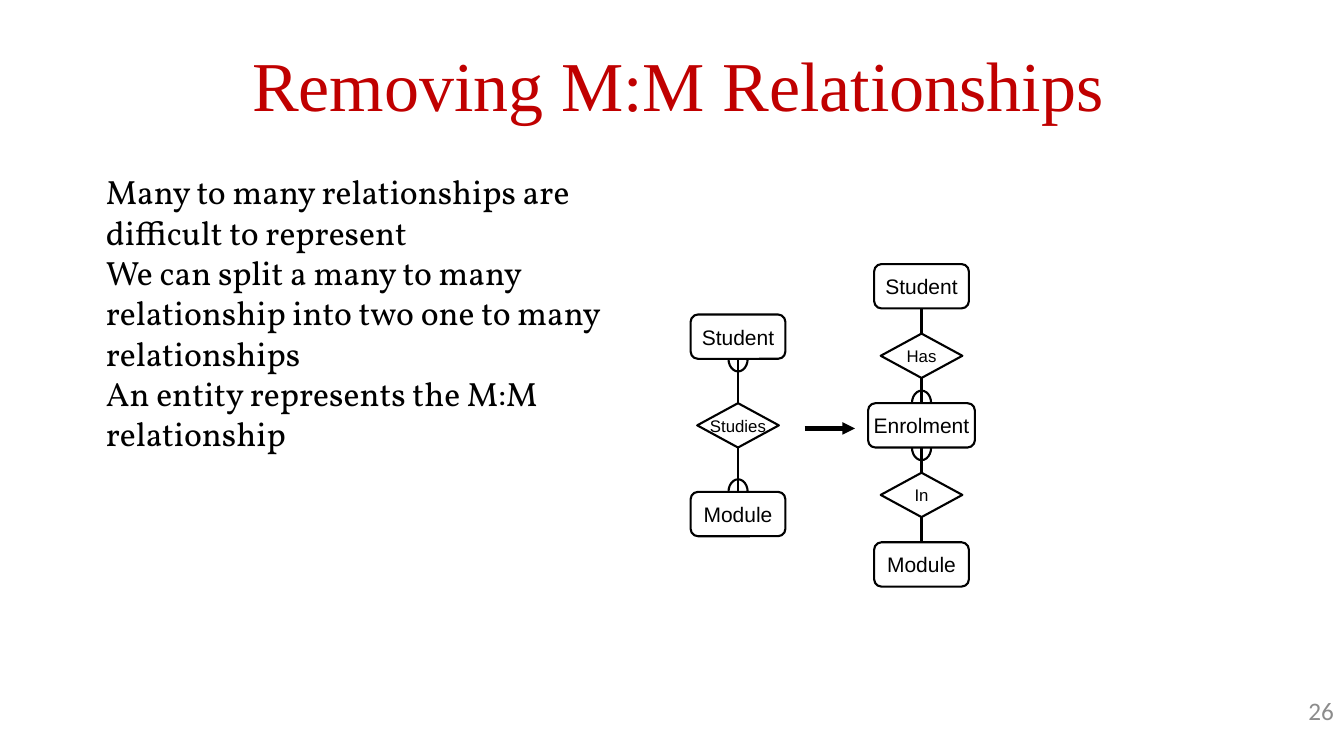
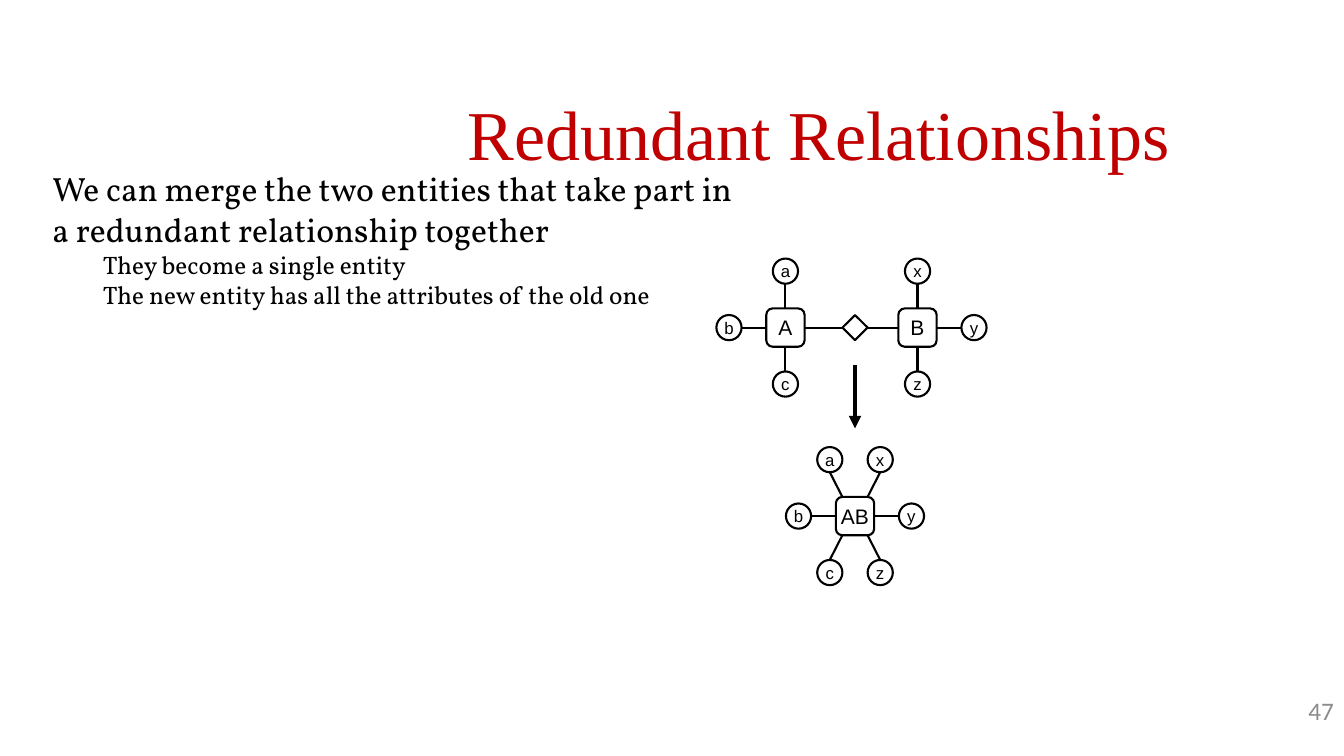
from lxml.etree import SubElement
from pptx import Presentation
from pptx.dml.color import RGBColor
from pptx.enum.shapes import MSO_CONNECTOR, MSO_SHAPE
from pptx.enum.text import MSO_ANCHOR, MSO_AUTO_SIZE, PP_ALIGN
from pptx.oxml.ns import qn
from pptx.util import Inches, Pt

COLORS = {"title": "C00000", "text": "000000", "line": "000000", "number": "8C8C8C"}
FONTS = {"title": "Times New Roman", "body": "Vollkorn", "diagram": "Arial", "number": "Calibri"}
BODY_SIZES = (24, 18)
TOP, LEFT, BOTTOM, RIGHT = range(4)
NODE_H = 0.44
HUB = 0.38
DOT = 0.25


def color(name):
    return RGBColor.from_string(COLORS[name])


def place(sp, left, top, width, height):
    sp.left, sp.top = Inches(left), Inches(top)
    sp.width, sp.height = Inches(width), Inches(height)


def prepare_frame(tf, anchor=MSO_ANCHOR.TOP, wrap=True):
    tf.margin_left = tf.margin_right = tf.margin_top = tf.margin_bottom = 0
    tf.vertical_anchor = anchor
    tf.word_wrap = wrap
    tf.auto_size = MSO_AUTO_SIZE.NONE


def style_paragraph(p, font, size, color_name, align=PP_ALIGN.LEFT):
    p.alignment = align
    p.line_spacing = 1.0
    p.space_before = p.space_after = Pt(0)
    for r in p.runs:
        r.font.name = FONTS[font]
        r.font.size = Pt(size)
        r.font.color.rgb = color(color_name)


def add_title(s, box, text):
    sp = s.shapes.title
    place(sp, *box)
    tf = sp.text_frame
    prepare_frame(tf)
    tf.margin_top = Inches(0.1)
    tf.text = text
    style_paragraph(tf.paragraphs[0], "title", 50, "title")


def add_body(s, box, items):
    sp = s.placeholders[1]
    place(sp, *box)
    tf = sp.text_frame
    prepare_frame(tf)
    tf.text = "\n".join(text for text, level in items)
    for p, (text, level) in zip(tf.paragraphs, items):
        p.level = level
        style_paragraph(p, "body", BODY_SIZES[level], "text")
        pPr = p._p.get_or_add_pPr()
        pPr.set("marL", str(Inches(0.5 * level)))
        pPr.set("indent", "0")
        SubElement(pPr, qn("a:buNone"))


def add_number(s, number):
    sp = s.shapes.add_textbox(Inches(12.56), Inches(6.9), Inches(0.67), Inches(0.52))
    tf = sp.text_frame
    prepare_frame(tf)
    tf.text = str(number)
    style_paragraph(tf.paragraphs[0], "number", 18, "number", PP_ALIGN.RIGHT)


def add_content_slide(prs, title, title_box, items, body_box, number):
    s = prs.slides.add_slide(prs.slide_layouts[1])
    add_title(s, title_box, title)
    add_body(s, body_box, items)
    add_number(s, number)
    return s


def add_outline(s, kind, cx, cy, width, height):
    sp = s.shapes.add_shape(kind, Inches(cx - width / 2), Inches(cy - height / 2),
                            Inches(width), Inches(height))
    sp.shadow.inherit = False
    sp.fill.background()
    sp.line.color.rgb = color("line")
    sp.line.width = Pt(1.5)
    return sp


def add_node(s, kind, cx, cy, width, height, text="", size=15):
    sp = add_outline(s, kind, cx, cy, width, height)
    if text:
        tf = sp.text_frame
        prepare_frame(tf, MSO_ANCHOR.MIDDLE, False)
        tf.text = text
        style_paragraph(tf.paragraphs[0], "diagram", size, "text", PP_ALIGN.CENTER)
    return sp


def add_line(s, start, end, width=1.5, arrow=False):
    line = s.shapes.add_connector(MSO_CONNECTOR.STRAIGHT,
                                  *(Inches(v) for v in (*start, *end)))
    line.line.color.rgb = color("line")
    line.line.width = Pt(width)
    if arrow:
        SubElement(line.line._get_or_add_ln(), qn("a:tailEnd"), type="triangle")
    SubElement(line._element.spPr, qn("a:effectLst"))
    return line


def join(s, first, first_side, second, second_side):
    line = add_line(s, (0, 0), (0, 0))
    line.begin_connect(first, first_side)
    line.end_connect(second, second_side)


def add_many_mark(s, cx, edge, side):
    arc = add_outline(s, MSO_SHAPE.ARC, cx, edge, 0.19, 0.25)
    start, end = (0, 108) if side == BOTTOM else (108, 0)
    arc.adjustments[0] = start
    arc.adjustments[1] = end


def add_er_chain(s, cx, top, gap, nodes):
    previous = None
    for i, (text, width, many_sides) in enumerate(nodes):
        cy = top + NODE_H / 2 + i * (NODE_H + gap)
        kind, size = (MSO_SHAPE.DIAMOND, 12) if i % 2 else (MSO_SHAPE.ROUNDED_RECTANGLE, 15)
        node = add_node(s, kind, cx, cy, width, NODE_H, text, size)
        if previous is not None:
            join(s, previous, BOTTOM, node, TOP)
        for side in many_sides:
            add_many_mark(s, cx, cy + (NODE_H / 2 if side == BOTTOM else -NODE_H / 2), side)
        previous = node


def add_split_diagram(s, left, top):
    add_er_chain(s, left + 0.47, top + 0.5, 0.44, [
        ("Student", 0.94, [BOTTOM]),
        ("Studies", 0.81, []),
        ("Module", 0.94, [TOP]),
    ])
    add_er_chain(s, left + 2.29, top, 0.25, [
        ("Student", 0.94, []),
        ("Has", 0.81, []),
        ("Enrolment", 1.06, [TOP, BOTTOM]),
        ("In", 0.81, []),
        ("Module", 0.94, []),
    ])
    add_line(s, (left + 1.13, top + 1.63), (left + 1.63, top + 1.63), 3, True)


def add_entity(s, cx, cy, text, attributes):
    hub = add_node(s, MSO_SHAPE.ROUNDED_RECTANGLE, cx, cy, HUB, HUB, text)
    for letter, dx, dy in attributes:
        add_node(s, MSO_SHAPE.OVAL, cx + dx, cy + dy, DOT, DOT, letter, 12)
        if dy:
            sign = 1 if dy > 0 else -1
            start = (cx + dx / 2, cy + sign * HUB / 2)
            end = (cx + dx, cy + dy - sign * DOT / 2)
            side = BOTTOM if dy > 0 else TOP
        else:
            sign = 1 if dx > 0 else -1
            start = (cx + sign * HUB / 2, cy)
            end = (cx + dx - sign * DOT / 2, cy)
            side = RIGHT if dx > 0 else LEFT
        line = add_line(s, start, end)
        if dx == 0 or dy == 0:
            line.begin_connect(hub, side)
    return hub


def add_merge_diagram(s, left, top):
    reach, spread = 0.56, 0.25
    middle, row = left + 1.38, top + 0.69
    first = add_entity(s, left + 0.69, row, "A",
                       [("a", 0, -reach), ("b", -reach, 0), ("c", 0, reach)])
    second = add_entity(s, left + 2, row, "B",
                        [("x", 0, -reach), ("y", reach, 0), ("z", 0, reach)])
    relation = add_node(s, MSO_SHAPE.DIAMOND, middle, row, DOT, DOT)
    join(s, first, RIGHT, relation, LEFT)
    join(s, relation, RIGHT, second, LEFT)
    add_line(s, (middle, top + 1.06), (middle, top + 1.69), 3, True)
    add_entity(s, middle, top + 2.56, "AB", [
        ("a", -spread, -reach), ("b", -reach, 0), ("c", -spread, reach),
        ("x", spread, -reach), ("y", reach, 0), ("z", spread, reach),
    ])


def main():
    prs = Presentation()
    prs.slide_width, prs.slide_height = Inches(13.33), Inches(7.5)

    s = add_content_slide(
        prs, "Removing M:M Relationships", (2.5, 0.31, 10.73, 1.26),
        [("Many to many relationships are difficult to represent", 0),
         ("We can split a many to many relationship into two one to many relationships", 0),
         ("An entity represents the M:M relationship", 0)],
        (1.05, 1.7, 5.33, 5.1), 26)
    add_split_diagram(s, 6.85, 2.62)

    s = add_content_slide(
        prs, "Redundant Relationships", (4.64, 0.8, 7.28, 1.68),
        [("We can merge the two entities that take part in a redundant relationship together", 0),
         ("They become a single entity", 1),
         ("The new entity has all the attributes of the old one", 1)],
        (0.52, 1.67, 6.9, 5.1), 47)
    add_merge_diagram(s, 7.1, 2.56)

    prs.save("out.pptx")


if __name__ == "__main__":
    main()
